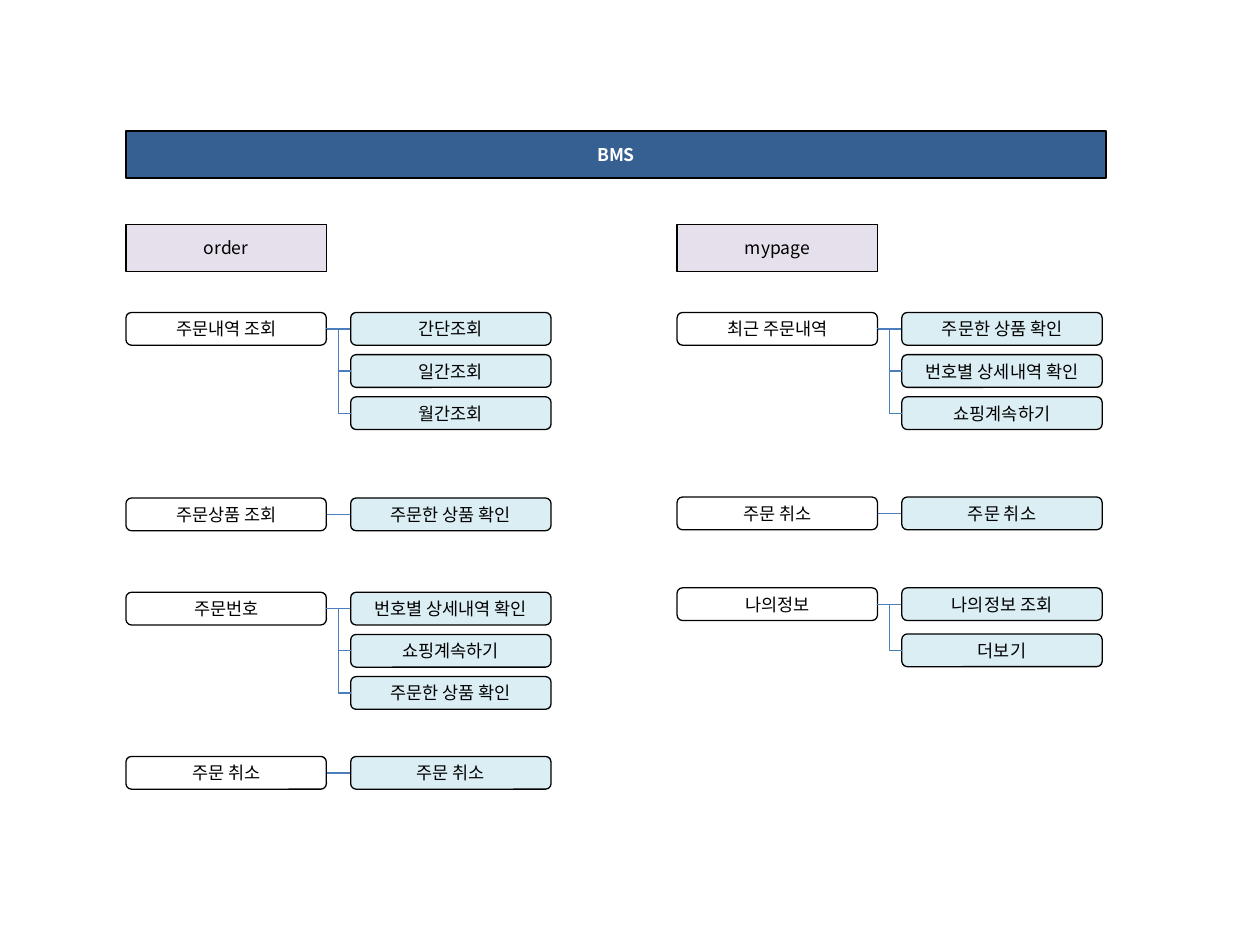
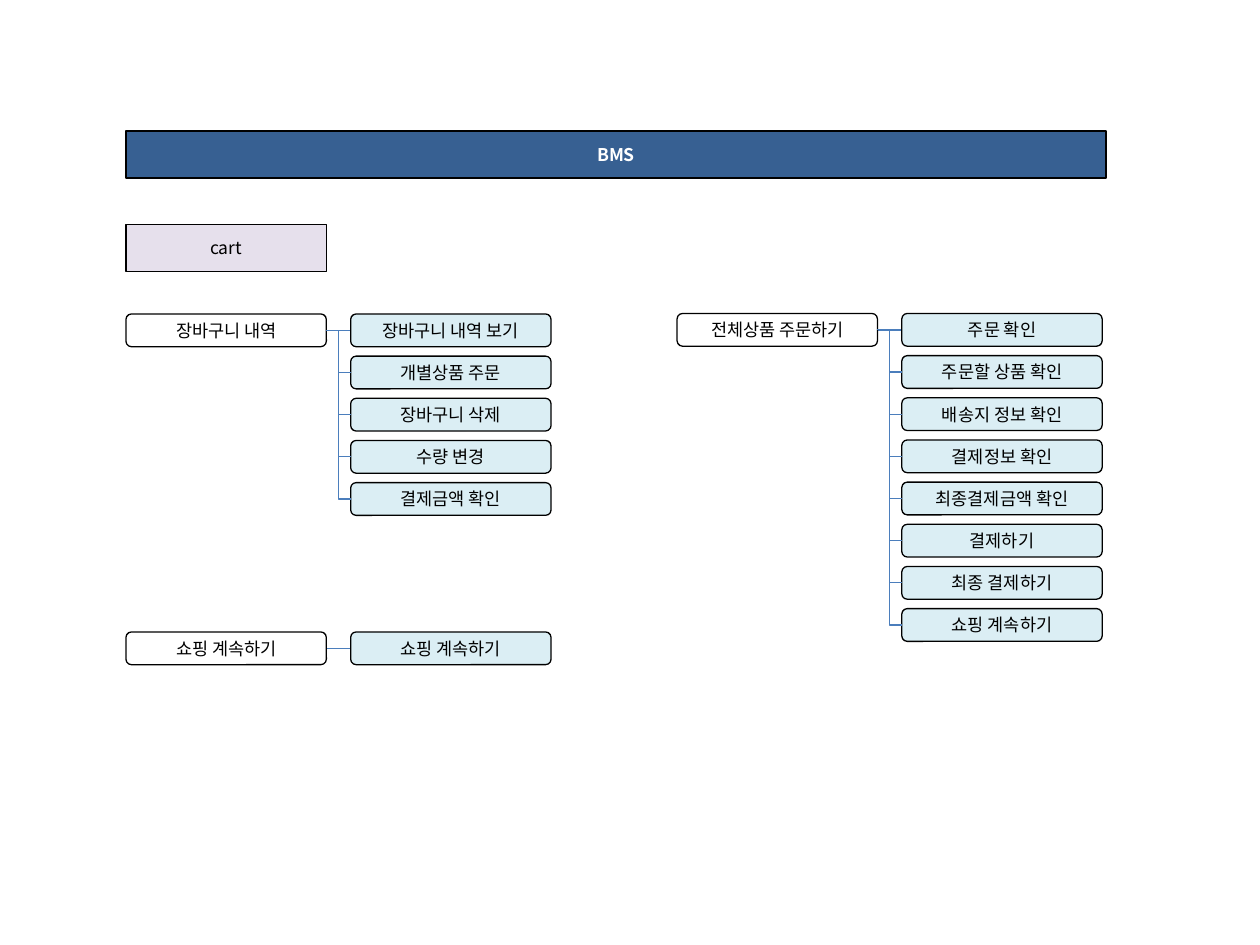
from lxml.etree import SubElement
from pptx import Presentation
from pptx.dml.color import RGBColor
from pptx.enum.shapes import MSO_CONNECTOR as CONN, MSO_SHAPE as SHAPE
from pptx.enum.text import MSO_ANCHOR, PP_ALIGN
from pptx.oxml.ns import qn
from pptx.util import Cm, Pt

FONT = "Noto Sans CJK KR"
NAVY, LILAC, AQUA, WHITE, BLACK, BLUE = (
    "376092", "E6E0EC", "DBEEF4", "FFFFFF", "000000", "4B7EBC")

LEFT, RIGHT = 2.54, 13.65
BANNER_TOP, BANNER_W = 2.64, 19.76
COLUMN_TOP, HEAD_H = 4.52, 0.95
NODE_W, NODE_H, CHILD_DX, PITCH = 4.04, 0.66, 4.53, 0.85
TRUNK_INSET, TRUNK_W = 0.7, 2.4
LEFT_SITE, RIGHT_SITE = 1, 3


def color(value):
    return RGBColor.from_string(value)


def add_box(s, kind, x, y, w, h, text, fill, ink=BLACK, bold=False):
    sp = s.shapes.add_shape(kind, Cm(x), Cm(y), Cm(w), Cm(h))
    sp.shadow.inherit = False
    sp.fill.solid()
    sp.fill.fore_color.rgb = color(fill)
    sp.line.color.rgb = color(BLACK)
    sp.line.width = Pt(0.75)
    tf = sp.text_frame
    tf.vertical_anchor = MSO_ANCHOR.MIDDLE
    p = tf.paragraphs[0]
    p.alignment = PP_ALIGN.CENTER
    r = p.add_run()
    r.text = text
    r.font.color.rgb = color(ink)
    for name, value in {"name": FONT, "size": Pt(10), "bold": bold}.items():
        setattr(r.font, name, value)
    SubElement(r.font._element, qn("a:ea"), typeface=FONT)
    return sp


def add_link(s, kind, x1=0, y1=0, x2=0, y2=0):
    link = s.shapes.add_connector(kind, Cm(x1), Cm(y1), Cm(x2), Cm(y2))
    link.line.color.rgb = color(BLUE)
    link.line.width = Pt(0.75)
    SubElement(link._element.spPr, qn("a:effectLst"))
    return link


def add_banner(s, x, y, w):
    add_box(s, SHAPE.RECTANGLE, x, y, w, HEAD_H, "BMS", NAVY, WHITE, True)


def add_branch(s, x, y, parent, children, pitch=PITCH):
    trunk_x, trunk_y = x + NODE_W - TRUNK_INSET, y + NODE_H / 2
    add_link(s, CONN.STRAIGHT, trunk_x, trunk_y, trunk_x + TRUNK_W, trunk_y)
    root = add_box(s, SHAPE.ROUNDED_RECTANGLE, x, y, NODE_W, NODE_H, parent, WHITE)
    for i, child in enumerate(children):
        leaf = add_box(s, SHAPE.ROUNDED_RECTANGLE, x + CHILD_DX, y + i * pitch,
                       NODE_W, NODE_H, child, AQUA)
        if i:
            link = add_link(s, CONN.ELBOW)
            link.begin_connect(root, RIGHT_SITE)
            link.end_connect(leaf, LEFT_SITE)


def add_column(s, x, y, title, branches):
    if title:
        add_box(s, SHAPE.RECTANGLE, x, y, NODE_W, HEAD_H, title, LILAC)
    for dy, *branch in branches:
        add_branch(s, x, y + dy, *branch)


def add_menu_slide(prs, columns):
    s = prs.slides.add_slide(prs.slide_layouts[6])
    add_banner(s, LEFT, BANNER_TOP, BANNER_W)
    for x, (title, branches) in zip((LEFT, RIGHT), columns):
        add_column(s, x, COLUMN_TOP, title, branches)


ORDER = [
    (1.78, "주문내역 조회", ["간단조회", "일간조회", "월간조회"]),
    (5.52, "주문상품 조회", ["주문한 상품 확인"]),
    (7.42, "주문번호", ["번호별 상세내역 확인", "쇼핑계속하기", "주문한 상품 확인"]),
    (10.73, "주문 취소", ["주문 취소"]),
]
MYPAGE = [
    (1.78, "최근 주문내역", ["주문한 상품 확인", "번호별 상세내역 확인", "쇼핑계속하기"]),
    (5.5, "주문 취소", ["주문 취소"]),
    (7.33, "나의정보", ["나의정보 조회", "더보기"], 0.93),
]
CART = [
    (1.81, "장바구니 내역", ["장바구니 내역 보기", "개별상품 주문", "장바구니 삭제",
                       "수량 변경", "결제금액 확인"]),
    (8.22, "쇼핑 계속하기", ["쇼핑 계속하기"]),
]
CHECKOUT = [
    (1.8, "전체상품 주문하기", ["주문 확인", "주문할 상품 확인", "배송지 정보 확인",
                        "결제정보 확인", "최종결제금액 확인", "결제하기",
                        "최종 결제하기", "쇼핑 계속하기"]),
]

prs = Presentation()
prs.slide_width, prs.slide_height = Cm(25.4), Cm(19.05)
add_menu_slide(prs, [("order", ORDER), ("mypage", MYPAGE)])
add_menu_slide(prs, [("cart", CART), (None, CHECKOUT)])
prs.save("out.pptx")
